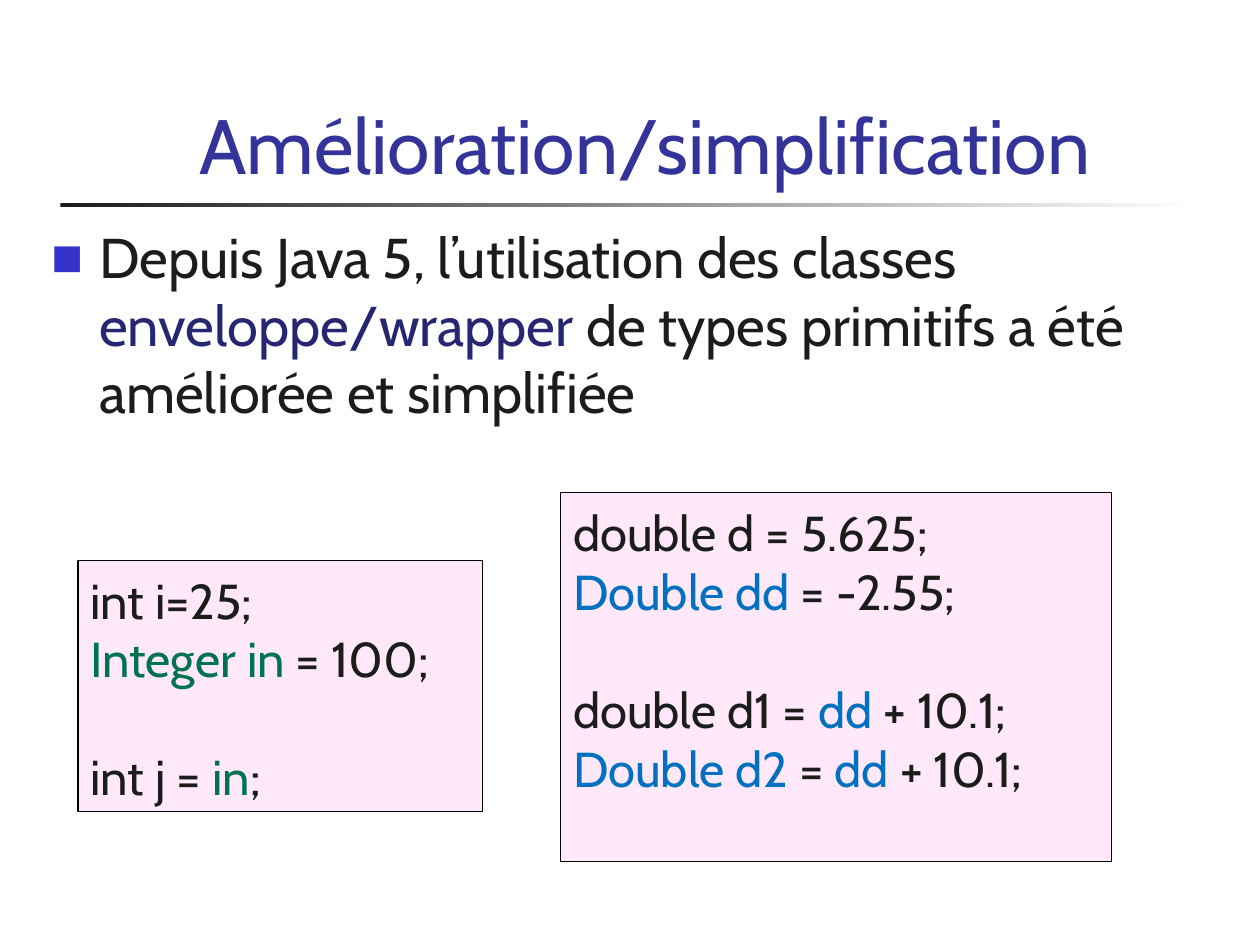
from dataclasses import dataclass

from lxml import etree
from pptx import Presentation
from pptx.dml.color import RGBColor
from pptx.enum.shapes import MSO_SHAPE
from pptx.enum.text import MSO_ANCHOR, PP_ALIGN
from pptx.oxml.ns import qn
from pptx.util import Inches, Pt

RECTANGLE = MSO_SHAPE.RECTANGLE
BOTTOM, TOP = MSO_ANCHOR.BOTTOM, MSO_ANCHOR.TOP
LEFT = PP_ALIGN.LEFT


@dataclass(frozen=True)
class Theme:
    font: str = "Cabin"
    title_size: int = 44
    body_size: int = 32
    code_size: int = 28
    code_line: float = 33.5  # height of one code line in points
    text: str = "1C1C1C"
    title: str = "333399"
    bullet: str = "3333CC"
    keyword: str = "262673"
    integer: str = "007254"
    double: str = "0070C0"
    panel: str = "FEE8F9"
    border: str = "000000"
    background: str = "FFFFFF"


def rgb(value):
    return RGBColor.from_string(value)


class SlideBuilder:
    def __init__(self, page, theme):
        self.page = page
        self.theme = theme

    def add_spans(self, para, spans, size):
        """Fill a paragraph with (text, colour) spans."""
        para.alignment = LEFT
        for text, color in spans:
            span = para.add_run()
            span.text = text
            span.font.name = self.theme.font
            span.font.size = Pt(size)
            span.font.color.rgb = rgb(color)

    def rectangle(self, left, top, width, height):
        box = self.page.shapes.add_shape(
            RECTANGLE, Inches(left), Inches(top), Inches(width), Inches(height))
        box.shadow.inherit = False
        return box

    def rule(self, left, top, width, height):
        bar = self.rectangle(left, top, width, height)
        bar.line.fill.background()
        bar.fill.gradient()
        bar.fill.gradient_angle = 0
        ends = (self.theme.text, self.theme.background)
        for stop, color, position in zip(bar.fill.gradient_stops, ends, (0, 1)):
            stop.color.rgb = rgb(color)
            stop.position = position

    def title(self, text, left, top, width, height):
        box = self.page.shapes.title
        box.left, box.top = Inches(left), Inches(top)
        box.width, box.height = Inches(width), Inches(height)
        frame = box.text_frame
        frame.vertical_anchor = BOTTOM
        self.add_spans(frame.paragraphs[0], [(text, self.theme.title)],
                       self.theme.title_size)

    def bullet(self, spans, left, top, width, height):
        box = self.page.shapes.add_textbox(
            Inches(left), Inches(top), Inches(width), Inches(height))
        frame = box.text_frame
        frame.word_wrap = True
        frame.vertical_anchor = TOP
        para = frame.paragraphs[0]
        self.add_spans(para, spans, self.theme.body_size)
        para.space_before = Pt(0.2 * self.theme.body_size)

        # Hanging indent and square bullet
        props = para._p.get_or_add_pPr()
        props.set("marL", str(Inches(0.38)))
        props.set("indent", str(Inches(-0.38)))
        color = etree.SubElement(props, qn("a:buClr"))
        etree.SubElement(color, qn("a:srgbClr"), val=self.theme.bullet)
        etree.SubElement(props, qn("a:buSzPct"), val="60000")
        etree.SubElement(props, qn("a:buFont"), typeface=self.theme.font)
        etree.SubElement(props, qn("a:buChar"), char="■")

    def code_panel(self, groups, left, top, width, height, lines_below=0):
        """Draw groups of code lines, one line of space between groups."""
        box = self.rectangle(left, top, width, height)
        box.fill.solid()
        box.fill.fore_color.rgb = rgb(self.theme.panel)
        box.line.color.rgb = rgb(self.theme.border)
        box.line.width = Pt(0.75)
        frame = box.text_frame
        frame.word_wrap = True
        frame.vertical_anchor = BOTTOM
        frame.margin_bottom = Inches(0.05) + Pt(self.theme.code_line * lines_below)
        para = None
        for group in groups:
            for index, spans in enumerate(group):
                starts_group = para is not None and index == 0
                para = frame.add_paragraph() if para is not None else frame.paragraphs[0]
                self.add_spans(para, spans, self.theme.code_size)
                if starts_group:
                    para.space_before = Pt(self.theme.code_line)


def main():
    theme = Theme()
    deck = Presentation()
    deck.slide_width, deck.slide_height = Inches(10), Inches(7.5)
    page = deck.slides.add_slide(deck.slide_layouts[5])
    builder = SlideBuilder(page, theme)
    plain, integer, double = theme.text, theme.integer, theme.double

    # Heading
    builder.rule(0.48, 1.61, 9, 0.03)
    builder.title("Amélioration/simplification", 1.48, 0.31, 8.52, 1.25)

    # Integer example
    builder.code_panel([
        [[("int i=25;", plain)],
         [("Integer in ", integer), ("= 100;", plain)]],
        [[("int j = ", plain), ("in", integer), (";", plain)]],
    ], 0.62, 4.45, 3.21, 1.99)

    # Statement
    builder.bullet([
        ("Depuis Java 5, l’utilisation des classes ", plain),
        ("enveloppe/wrapper", theme.keyword),
        (" de types primitifs a été améliorée et simplifiée", plain),
    ], 0.31, 1.72, 9.45, 1.88)

    # Double example
    builder.code_panel([
        [[("double d = 5.625;", plain)],
         [("Double dd ", double), ("= -2.55;", plain)]],
        [[("double d1 = ", plain), ("dd", double), (" + 10.1;", plain)],
         [("Double d2 ", double), ("= ", plain), ("dd", double),
          (" + 10.1;", plain)]],
    ], 4.45, 3.91, 4.37, 2.93, lines_below=1)

    deck.save("out.pptx")


if __name__ == "__main__":
    main()
